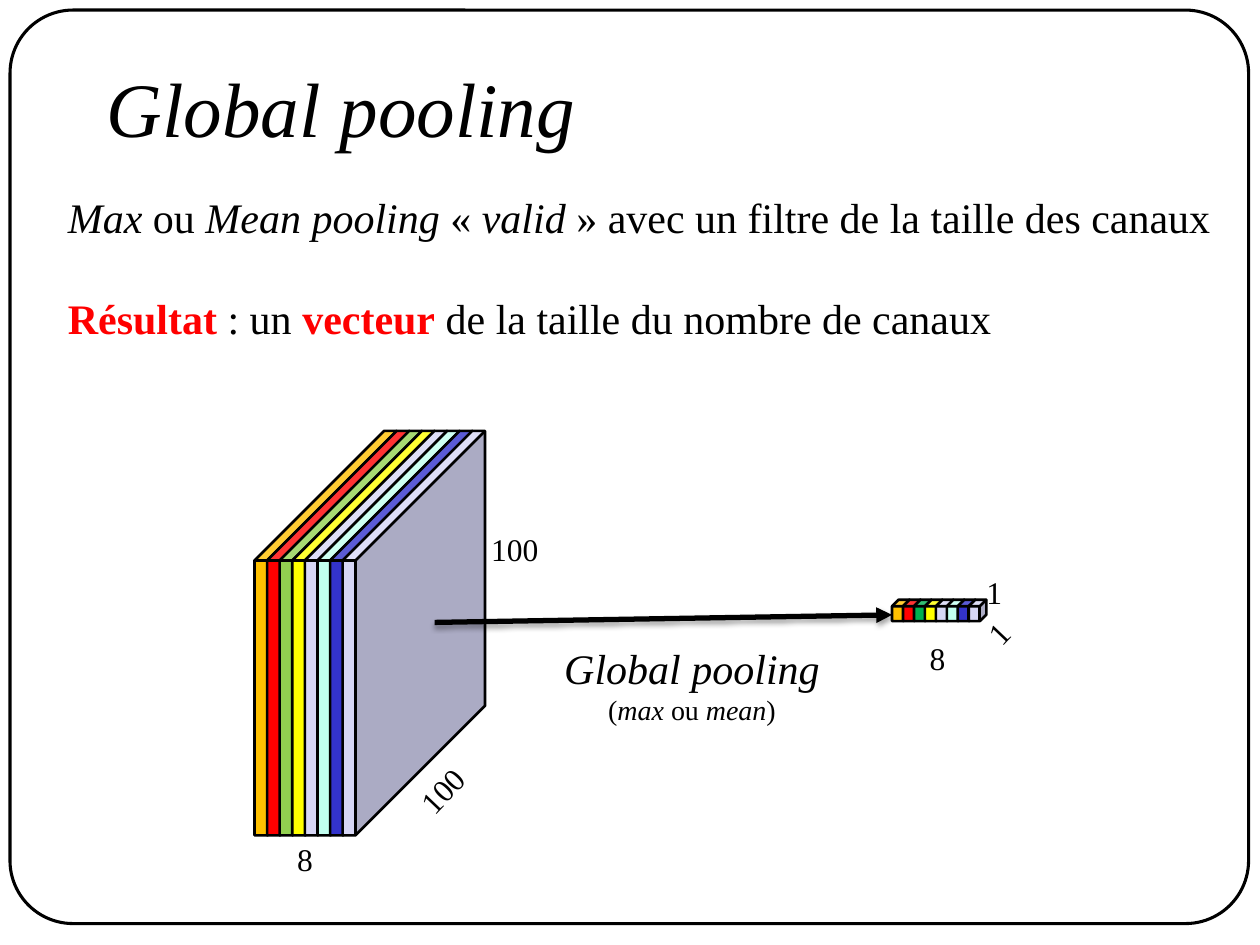
from dataclasses import dataclass
from typing import Any, NamedTuple

import lxml.etree
import pptx
import pptx.dml.color
import pptx.enum.dml
import pptx.enum.shapes
import pptx.enum.text
import pptx.oxml.ns
import pptx.util

Inches = pptx.util.Inches
Shape = pptx.enum.shapes.MSO_SHAPE
Align = pptx.enum.text.PP_ALIGN


@dataclass(frozen=True)
class Theme:
    font: str = "Times New Roman"
    ink: str = "000000"
    accent: str = "FF0000"
    title: float = 44
    body: float = 24
    label: float = 18
    note: float = 16
    frame_line: float = 1.75
    cube_line: float = 1.5
    arrow_line: float = 3


THEME = Theme()
CHANNELS = ["FFC000", "FF0000", "92D050", "FFFF00", "D6D6F5", "C2FFF0", "3333CC", "D6D6F5"]
VECTOR = ["00B050" if color == "92D050" else color for color in CHANNELS]


class Span(NamedTuple):
    text: str
    italic: bool = False
    bold: bool = False
    color: str = THEME.ink


class Para(NamedTuple):
    spans: list[Span]
    size: float
    align: Any = None
    space_before: float = 0


class TextBox(NamedTuple):
    left: float
    top: float
    width: float
    height: float
    paras: list[Para]
    rotation: float = 0
    is_title: bool = False


class CubeRow(NamedTuple):
    """Overlapping cubes, each one step to the right of the one before."""
    left: float
    top: float
    width: float
    height: float
    step: float
    depth: float
    colors: list[str]


def rgb(color: str) -> pptx.dml.color.RGBColor:
    return pptx.dml.color.RGBColor.from_string(color)


def label(text: str, left: float, top: float, width: float = 0.33, rotation: float = 0) -> TextBox:
    return TextBox(left, top, width, 0.4, [Para([Span(text)], THEME.label)], rotation)


def draw_text(page: Any, spec_box: TextBox) -> None:
    box = page.shapes.add_textbox(Inches(spec_box.left), Inches(spec_box.top),
                                  Inches(spec_box.width), Inches(spec_box.height))
    box.rotation = spec_box.rotation
    frame = box.text_frame
    frame.word_wrap = spec_box.is_title
    if spec_box.is_title:
        frame.vertical_anchor = pptx.enum.text.MSO_ANCHOR.MIDDLE
    else:
        frame.auto_size = pptx.enum.text.MSO_AUTO_SIZE.SHAPE_TO_FIT_TEXT
    for index, para in enumerate(spec_box.paras):
        paragraph = frame.add_paragraph() if index else frame.paragraphs[0]
        paragraph.alignment = para.align
        if para.space_before:
            paragraph.space_before = pptx.util.Pt(para.space_before)
        for span in para.spans:
            run = paragraph.add_run()
            run.text = span.text
            run.font.name = THEME.font
            run.font.size = pptx.util.Pt(para.size)
            run.font.italic = span.italic
            run.font.bold = span.bold
            run.font.color.rgb = rgb(span.color)


def draw_frame(page: Any) -> None:
    frame = page.shapes.add_shape(Shape.ROUNDED_RECTANGLE, Inches(0.08), Inches(0.08),
                                  Inches(9.83), Inches(7.25))
    frame.adjustments[0] = 0.069
    frame.shadow.inherit = False
    frame.fill.background()
    frame.line.color.rgb = rgb(THEME.ink)
    frame.line.width = pptx.util.Pt(THEME.frame_line)


def draw_cubes(shapes: Any, row: CubeRow) -> None:
    for index, color in enumerate(row.colors):
        cube = shapes.add_shape(Shape.CUBE, Inches(row.left + index * row.step), Inches(row.top),
                                Inches(row.width), Inches(row.height))
        cube.adjustments[0] = row.depth
        cube.shadow.inherit = False
        cube.fill.solid()
        cube.fill.fore_color.rgb = rgb(color)
        cube.line.color.rgb = rgb(THEME.ink)
        cube.line.width = pptx.util.Pt(THEME.cube_line)


def draw_arrow(page: Any, start: tuple[float, float], end: tuple[float, float]) -> None:
    """Line with a triangle head and a soft shadow below it."""
    arrow = page.shapes.add_connector(pptx.enum.shapes.MSO_CONNECTOR.STRAIGHT,
                                      *map(Inches, start), *map(Inches, end))
    arrow.line.color.rgb = rgb(THEME.ink)
    arrow.line.width = pptx.util.Pt(THEME.arrow_line)
    qn = pptx.oxml.ns.qn
    properties = arrow.element.spPr
    lxml.etree.SubElement(properties.find(qn("a:ln")), qn("a:tailEnd"), type="triangle")
    effects = lxml.etree.SubElement(properties, qn("a:effectLst"))
    shadow = lxml.etree.SubElement(effects, qn("a:outerShdw"), blurRad=str(pptx.util.Pt(3.1)),
                                   dist=str(pptx.util.Pt(1.8)), dir="5400000", rotWithShape="0")
    shade = lxml.etree.SubElement(shadow, qn("a:srgbClr"), val=THEME.ink)
    lxml.etree.SubElement(shade, qn("a:alpha"), val="35000")


TITLE = TextBox(0.75, 0.22, 8.5, 1.25, [Para([Span("Global pooling", italic=True)], THEME.title)],
                is_title=True)
BODY = TextBox(0.44, 1.47, 9.37, 1.31, [
    Para([Span("Max", italic=True), Span(" ou "), Span("Mean pooling ", italic=True),
          Span("« "), Span("valid", italic=True),
          Span(" » avec un filtre de la taille des canaux")], THEME.body),
    Para([Span("Résultat", bold=True, color=THEME.accent), Span(" : un "),
          Span("vecteur", bold=True, color=THEME.accent),
          Span(" de la taille du nombre de canaux")], THEME.body, space_before=29),
])
CAPTION = TextBox(4.38, 5.05, 2.23, 0.77, [
    Para([Span("Global pooling", italic=True)], THEME.body),
    Para([Span("("), Span("max ", italic=True), Span("ou "), Span("mean", italic=True),
          Span(")")], THEME.note, Align.CENTER),
])
TILT = 313.6
LABELS = [
    label("100", 3.8, 4.16, 0.58),
    label("100", 3.22, 6.07, 0.58, TILT),
    label("8", 2.26, 6.62),
    label("1", 7.73, 4.5),
    label("1", 7.76, 4.82, rotation=TILT),
    label("8", 7.28, 5.02),
]


def main() -> None:
    deck = pptx.Presentation()
    deck.slide_width, deck.slide_height = Inches(10), Inches(7.5)
    page = deck.slides.add_slide(deck.slide_layouts[6])
    draw_frame(page)
    draw_text(page, TITLE)
    draw_text(page, BODY)
    draw_cubes(page.shapes, CubeRow(2.02, 3.42, 1.13, 3.21, 0.1, 0.91, CHANNELS))
    draw_arrow(page, (3.45, 4.94), (7.08, 4.88))
    vector = page.shapes.add_group_shape()
    draw_cubes(vector.shapes, CubeRow(7.08, 4.76, 0.14, 0.17, 0.087, 0.374, VECTOR))
    for box in [CAPTION, *LABELS]:
        draw_text(page, box)
    deck.save("out.pptx")


if __name__ == "__main__":
    main()
